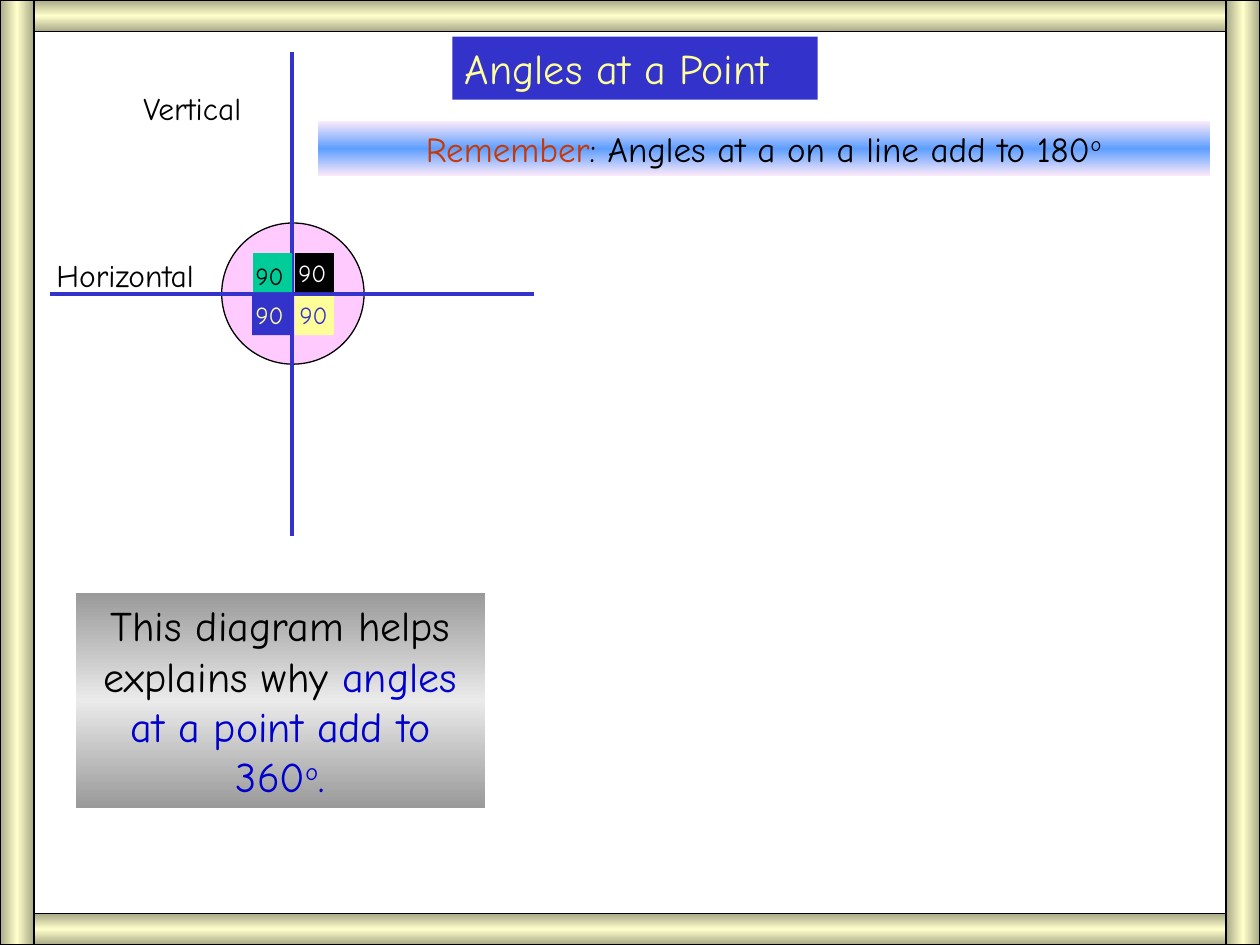
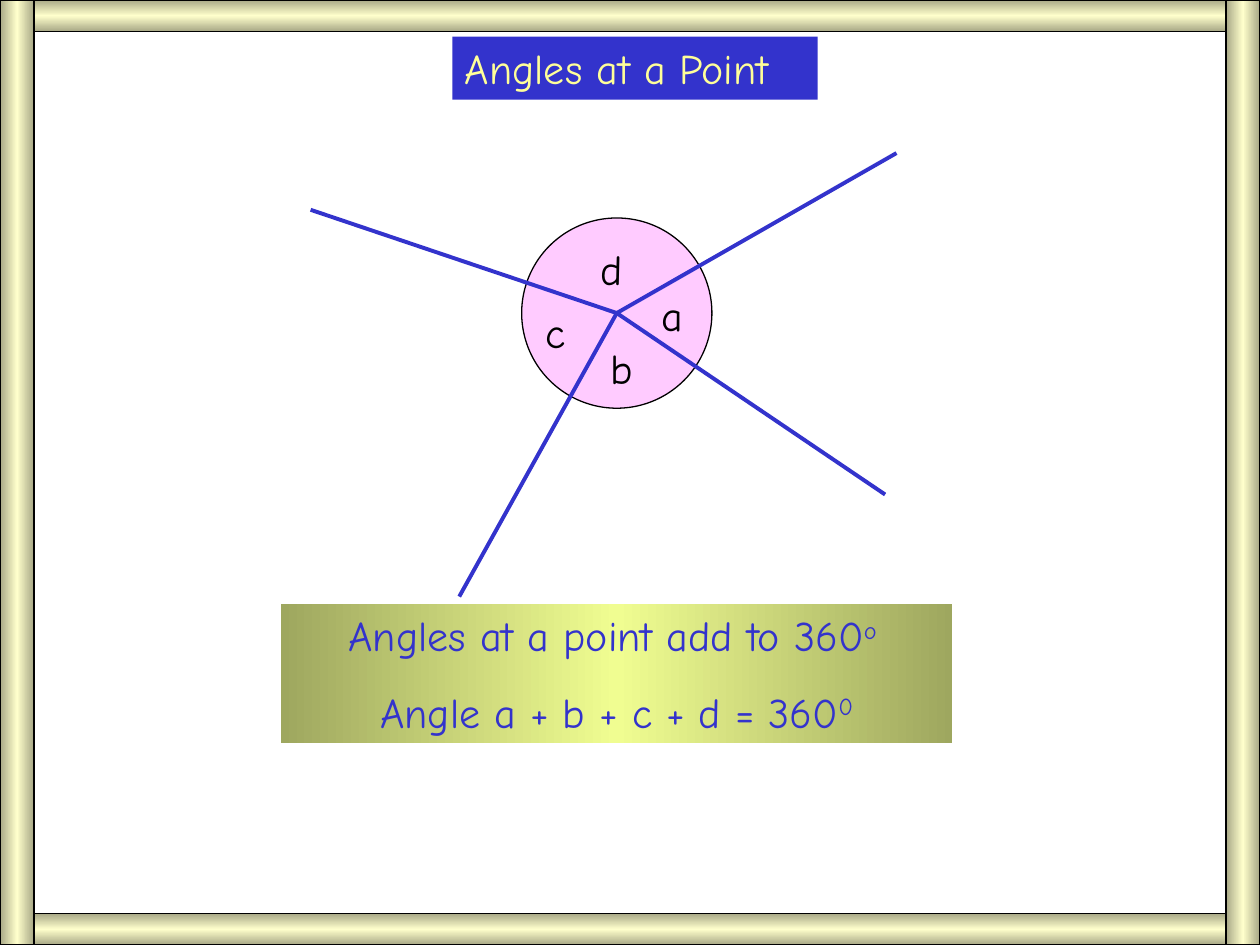
"""Build two slides about angles at a point."""
import copy

import pptx
import pptx.dml.color
import pptx.enum.shapes
import pptx.enum.text
import pptx.oxml.ns
import pptx.util
from lxml import etree

Inches = pptx.util.Inches
Shape = pptx.enum.shapes.MSO_SHAPE
Align = pptx.enum.text.PP_ALIGN

FONT = "Comic Neue"
TITLE = "Angles at a Point"
SLIDE_WIDTH, SLIDE_HEIGHT = 10, 7.5
COLOURS = {
    "black": "000000", "white": "FFFFFF", "blue": "3333CC", "deep blue": "0000CC",
    "yellow": "FFFF99", "green": "00CC99", "pink": "FF99FF", "rust": "C63806",
    "frame edge": "A8A886", "frame middle": "FFFFCC",
    "grey edge": "9A9A9A", "grey middle": "EAEAEA",
    "sky edge": "FFEBFA", "sky middle": "5E9EFF",
    "olive edge": "9EA75F", "olive middle": "F0FD91",
}


def colour(name):
    """Return the named colour."""
    return pptx.dml.color.RGBColor.from_string(COLOURS[name])


def qualified(tag):
    """Return the full name of a DrawingML tag."""
    return pptx.oxml.ns.qn("a:" + tag)


def paint(shape, fill):
    """Give a shape a flat fill."""
    shape.fill.solid()
    shape.fill.fore_color.rgb = colour(fill)


def paint_gradient(shape, family, angle):
    """Fill a shape from edge to middle to edge of a colour family."""
    shape.fill.gradient()
    shape.fill.gradient_angle = angle
    stop_list = next(shape._element.spPr.iter(qualified("gsLst")))
    stop_list.append(copy.deepcopy(stop_list[-1]))
    parts = ("edge", "middle", "edge")
    for stop, part, position in zip(shape.fill.gradient_stops, parts, (0, 0.5, 1)):
        stop.color.rgb = colour(f"{family} {part}")
        stop.position = position


def add_outlined(slide, kind, box, outline=None):
    """Add a preset shape with an optional thin outline."""
    shape = slide.shapes.add_shape(kind, *map(Inches, box))
    shape.shadow.inherit = False
    if outline:
        shape.line.color.rgb = colour(outline)
        shape.line.width = pptx.util.Pt(0.75)
    else:
        shape.line.fill.background()
    return shape


def write(shape, paragraphs, size, align=Align.LEFT, space=0):
    """Write paragraphs of (text, colour, raised) runs into a shape."""
    frame = shape.text_frame
    frame.word_wrap = True
    frame.auto_size = pptx.enum.text.MSO_AUTO_SIZE.NONE
    frame.vertical_anchor = pptx.enum.text.MSO_ANCHOR.TOP
    for index, runs in enumerate(paragraphs):
        paragraph = frame.add_paragraph() if index else frame.paragraphs[0]
        paragraph.alignment = align
        paragraph.space_before = pptx.util.Pt(space if index else 0)
        paragraph.font.name = FONT
        paragraph.font.size = pptx.util.Pt(size)
        for text, name, raised in runs:
            run = paragraph.add_run()
            run.text = text
            run.font.color.rgb = colour(name)
            if raised:
                run._r.get_or_add_rPr().set("baseline", "30000")


def add_label(slide, text, box, size, name="black"):
    """Add a one-line label."""
    label = slide.shapes.add_textbox(*map(Inches, box))
    write(label, [[(text, name, False)]], size)


def add_panel(slide, box, family, angle, paragraphs, size):
    """Add a gradient panel of centred text."""
    panel = add_outlined(slide, Shape.RECTANGLE, box)
    paint_gradient(panel, family, angle)
    write(panel, paragraphs, size, Align.CENTER, space=15)


def add_circle(slide, box):
    """Add the half-transparent circle around the point."""
    circle = add_outlined(slide, Shape.OVAL, box, "black")
    paint(circle, "pink")
    tint = next(circle._element.spPr.iter(qualified("srgbClr")))
    etree.SubElement(tint, qualified("alpha"), val="50000")


def add_arm(slide, point, end):
    """Draw a line from the point to the end of an arm."""
    arm = slide.shapes.add_connector(
        pptx.enum.shapes.MSO_CONNECTOR.STRAIGHT, *map(Inches, (*point, *end)))
    arm.line.color.rgb = colour("blue")
    arm.line.width = pptx.util.Pt(2.25)
    etree.SubElement(arm._element.spPr, qualified("effectLst"))


def add_title(slide, box):
    """Place the title on its blue band."""
    title = slide.shapes.title
    title.left, title.top, title.width, title.height = map(Inches, box)
    paint(title, "blue")
    write(title, [[(TITLE, "yellow", False)]], 24)


def add_frame(slide, width, height):
    """Draw the four bars around the slide."""
    beam, post = 0.25, 0.27
    bars = [
        ((0, 0, width, beam), 90), ((0, height - beam, width, beam), 90),
        ((width - post, 0, post, height), 0), ((0, 0, post, height), 0),
    ]
    for box, angle in bars:
        bar = add_outlined(slide, Shape.RECTANGLE, box, "black")
        paint_gradient(bar, "frame", angle)


def add_right_angles(slide, box):
    """Draw four right angles where the vertical meets the horizontal."""
    left, top, size = box
    reach = size / 2
    x, y = left + reach, top + reach
    add_circle(slide, (x - 0.56, y - 0.56, 1.13, 1.12))
    for across, down in ((0, 1), (0, -1), (1, 0), (-1, 0)):
        add_arm(slide, (x, y), (x + across * reach, y + down * reach))
    side = 0.31
    quarters = [
        (0.02, 0.02, "yellow", "blue", -0.04, 0),
        (-0.32, 0.02, "blue", "yellow", -0.39, 0),
        (-0.31, -0.32, "green", "black", -0.39, -0.31),
        (0.02, -0.32, "black", "white", -0.05, -0.33),
    ]
    for across, down, fill, ink, label_across, label_down in quarters:
        square = add_outlined(slide, Shape.RECTANGLE, (x + across, y + down, side, side))
        paint(square, fill)
        add_label(slide, "90", (x + label_across, y + label_down, 0.49, 0.34), 14, ink)
    add_label(slide, "Vertical", (left + 0.64, top + 0.25, 1.17, 0.4), 18)
    add_label(slide, "Horizontal", (left - 0.05, top + 1.57, 1.6, 0.4), 18)


def add_lettered_angles(slide, box):
    """Draw four arms from a point and name the angles between them."""
    left, top, size = box
    x, y = left + size / 2, top + size / 2
    add_circle(slide, (left, top, size, size))
    for across, down in ((2.22, -1.27), (2.13, 1.44), (-2.43, -0.82), (-1.25, 2.25)):
        add_arm(slide, (x, y), (x + across, y + down))
    letters = {"a": (1.01, 0.52), "b": (0.61, 0.94), "c": (0.09, 0.65), "d": (0.53, 0.15)}
    for letter, (across, down) in letters.items():
        add_label(slide, letter, (left + across, top + down, 0.52, 0.5), 24)


def add_slide(presentation):
    """Add a slide with the shared title and frame."""
    slide = presentation.slides.add_slide(presentation.slide_layouts[5])
    add_title(slide, (3.59, 0.29, 2.9, 0.5))
    add_frame(slide, SLIDE_WIDTH, SLIDE_HEIGHT)
    return slide


def build_explanation(presentation):
    """Show why angles at a point add to a full turn."""
    slide = add_slide(presentation)
    add_right_angles(slide, (0.4, 0.41, 3.84))
    add_panel(slide, (0.6, 4.71, 3.25, 1.7), "grey", 90, [[
        ("This diagram helps explains why ", "black", False),
        ("angles at a point add to 360", "deep blue", False),
        ("o", "deep blue", True),
        (".", "deep blue", False),
    ]], 24)
    add_panel(slide, (2.52, 0.96, 7.08, 0.44), "sky", 90, [[
        ("Remember", "rust", False),
        (": Angles at a on a line add to 180", "black", False),
        ("o", "black", True),
    ]], 20)


def build_rule(presentation):
    """State the rule for angles at a point."""
    slide = add_slide(presentation)
    add_lettered_angles(slide, (4.14, 1.73, 1.51))
    add_panel(slide, (2.23, 4.79, 5.33, 1.11), "olive", 0, [
        [("Angles at a point add to 360", "blue", False), ("o ", "blue", True)],
        [("Angle a + b + c + d = 360", "blue", False), ("0", "blue", True)],
    ], 24)


def main():
    """Build and save the presentation."""
    presentation = pptx.Presentation()
    presentation.slide_width = Inches(SLIDE_WIDTH)
    presentation.slide_height = Inches(SLIDE_HEIGHT)
    build_explanation(presentation)
    build_rule(presentation)
    presentation.save("out.pptx")


if __name__ == "__main__":
    main()
